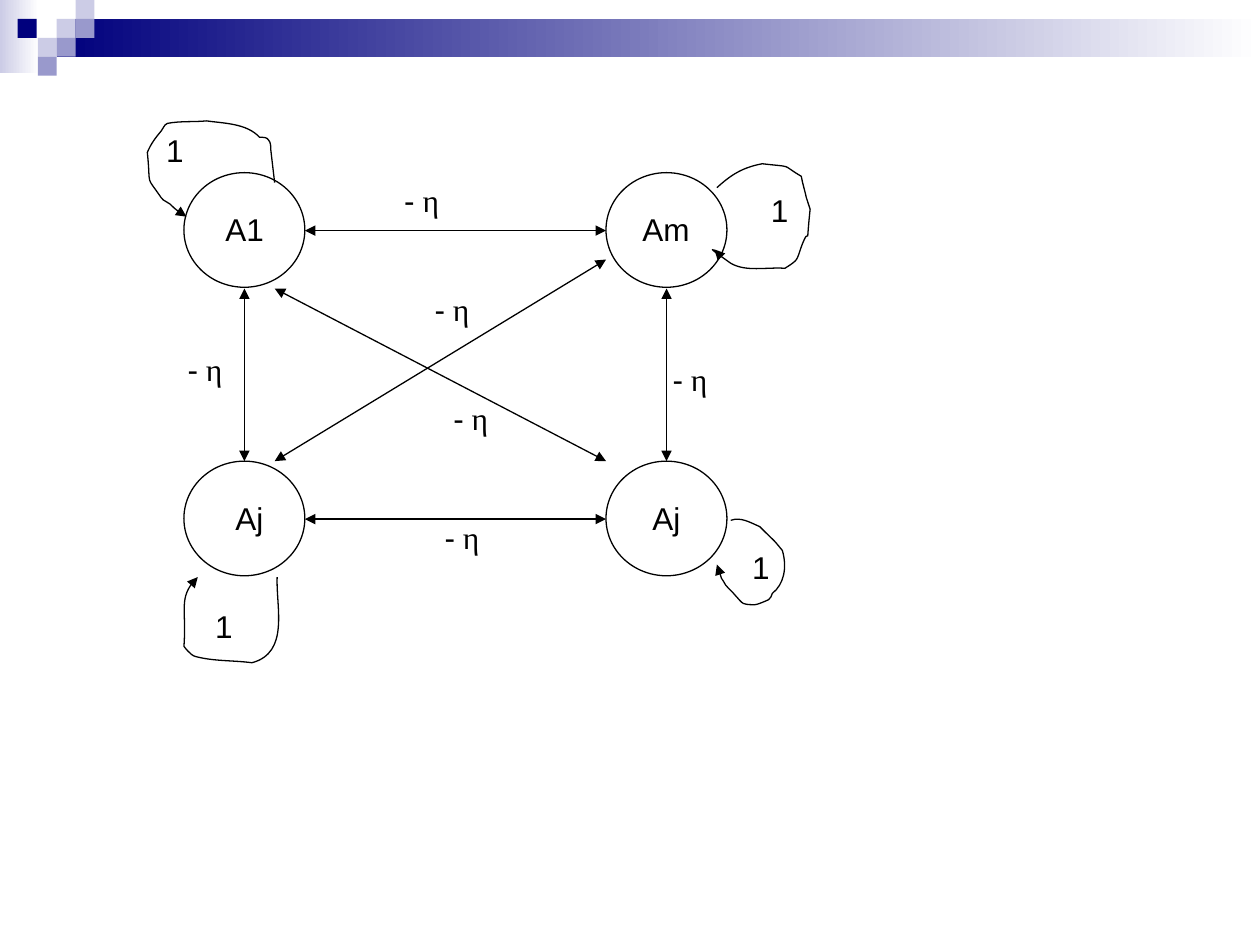
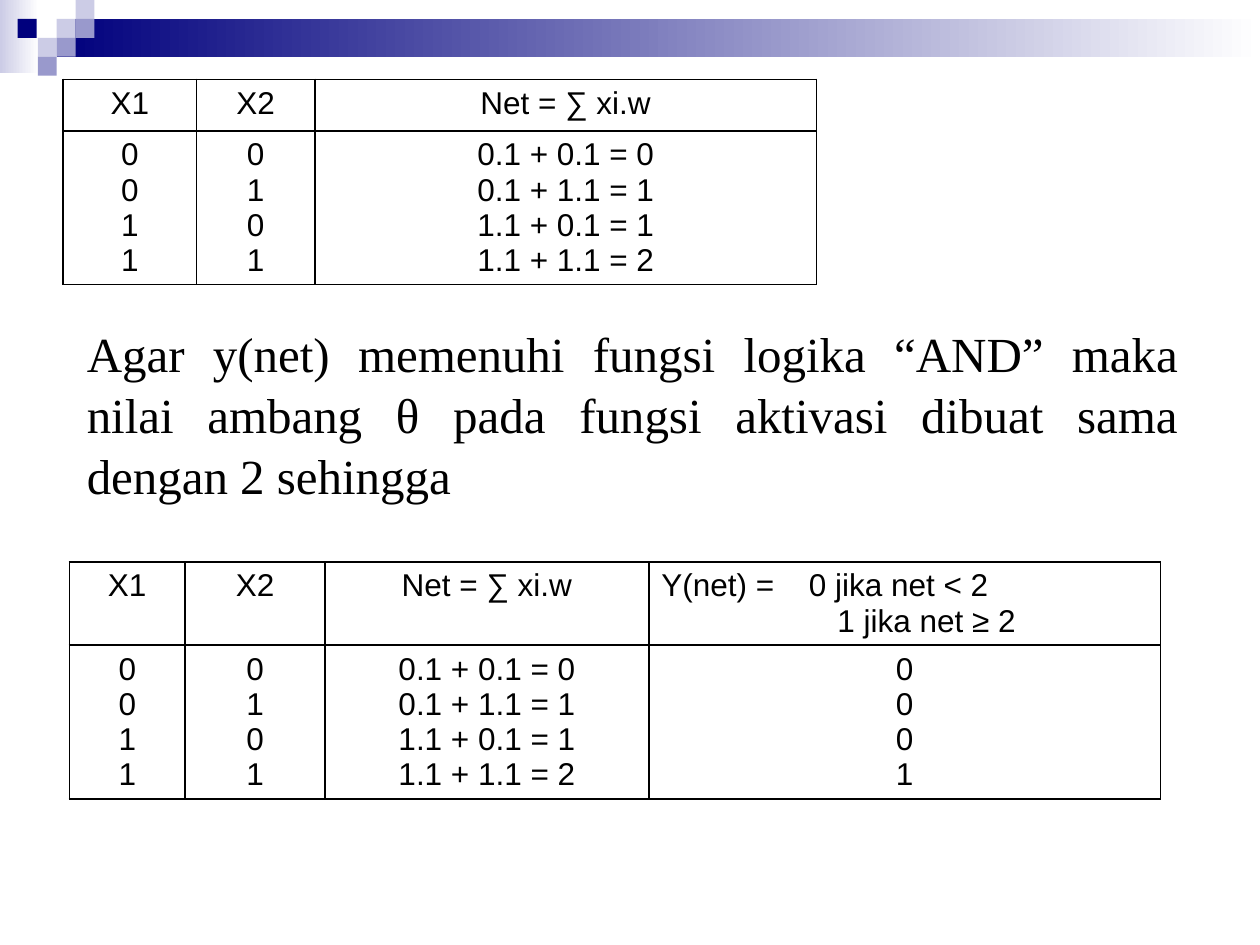
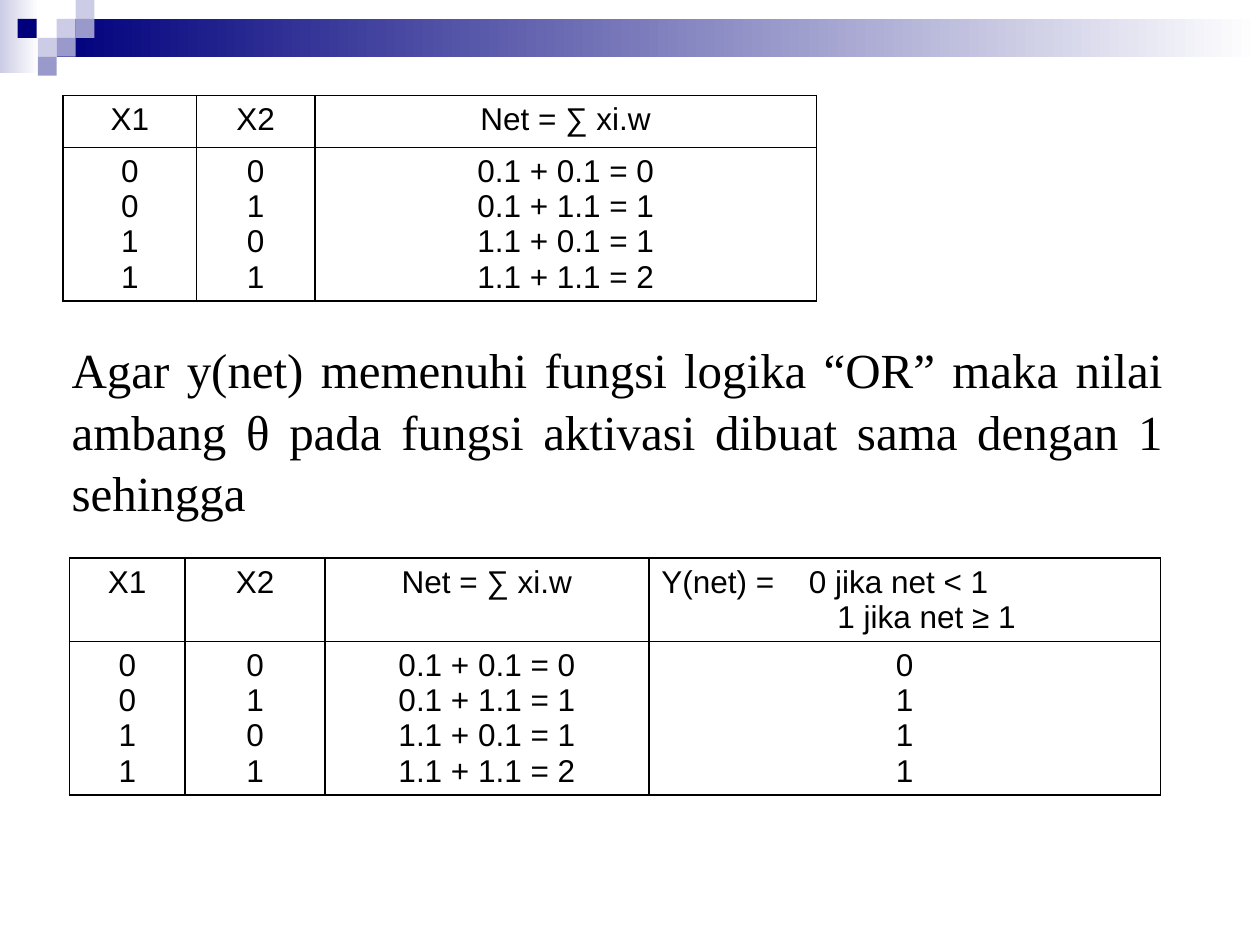
import dataclasses
import itertools
from typing import Any

import lxml.etree
import pptx
import pptx.dml.color
import pptx.enum.shapes
import pptx.enum.text
import pptx.oxml.ns
import pptx.slide
import pptx.util

PX = 9144
SHAPE = pptx.enum.shapes.MSO_SHAPE
ALIGN = pptx.enum.text.PP_ALIGN
ANCHOR = pptx.enum.text.MSO_ANCHOR
qn = pptx.oxml.ns.qn


@dataclasses.dataclass(frozen=True)
class Theme:
    navy: str = "00007D"
    mid: str = "9999CC"
    pale: str = "CCCCE6"
    white: str = "FFFFFF"
    ink: str = "000000"
    sans: str = "Arial"
    serif: str = "Times New Roman"
    label: int = 18
    body: int = 28
    line: float = 0.75
    border: int = 1


@dataclasses.dataclass(frozen=True)
class Box:
    x: int
    y: int
    w: int
    h: int

    def emu(self) -> tuple[int, ...]:
        return tuple(v * PX for v in dataclasses.astuple(self))


@dataclasses.dataclass(frozen=True)
class Band:
    box: Box
    start: str


@dataclasses.dataclass(frozen=True)
class Label:
    text: str
    x: int
    y: int
    w: int = 55


@dataclasses.dataclass(frozen=True)
class Line:
    text: str
    align: Any = ALIGN.CENTER
    indent: int = 0
    tab: int = 0


@dataclasses.dataclass(frozen=True)
class Cell:
    lines: list[Line]
    anchor: Any = ANCHOR.TOP


@dataclasses.dataclass(frozen=True)
class Gate:
    name: str
    threshold: int
    net_top: int
    text_x: int
    text_y: int
    result_top: int


T = Theme()
SQUARE = 15
BANDS = [Band(Box(0, 0, 31, 58), T.pale), Band(Box(45, 15, 955, 30), T.navy)]
SQUARES = [
    (45, 15, T.pale), (60, 0, T.pale), (60, 15, T.mid), (30, 30, T.pale),
    (14, 15, T.navy), (45, 30, T.mid), (30, 45, T.mid),
]
NODE_W, NODE_H = 96, 91
NODES = list(itertools.product((146, 481), (137, 366)))
EDGES = [
    (481, 183, 242, 183), (529, 229, 529, 366), (242, 412, 481, 412),
    (194, 366, 194, 229), (218, 229, 481, 366), (218, 366, 481, 206),
]
LOOPS = [
    [(218, 145), (217, 136), (216, 128), (215, 119), (215, 116), (215, 113), (213, 111),
     (212, 109), (209, 109), (206, 109), (196, 98), (178, 98), (164, 96),
     (154, 97), (143, 96), (133, 98), (130, 99), (130, 102), (128, 104),
     (123, 110), (120, 114), (117, 121), (120, 150), (115, 138), (128, 157),
     (130, 160), (133, 160), (135, 162), (137, 164), (139, 166), (142, 168),
     (144, 170), (148, 172), (148, 172)],
    [(569, 149), (580, 139), (589, 133), (605, 130), (631, 133), (619, 130), (636, 140),
     (637, 146), (639, 152), (640, 157), (641, 160), (643, 166), (643, 166),
     (639, 205), (644, 174), (636, 196), (632, 207), (634, 206), (623, 213),
     (608, 212), (592, 216), (580, 209), (556, 192), (581, 205), (567, 198)],
    [(580, 413), (588, 410), (596, 415), (603, 418), (618, 433), (612, 426), (621, 437),
     (625, 451), (622, 464), (613, 471), (612, 473), (612, 475), (610, 476),
     (608, 477), (601, 480), (599, 480), (596, 480), (593, 480), (590, 479),
     (588, 478), (586, 475), (584, 473), (581, 469), (576, 466), (574, 461),
     (573, 460), (572, 458), (572, 457), (571, 454), (569, 448), (569, 448)],
    [(220, 458), (219, 482), (230, 518), (200, 526), (185, 524), (170, 525), (155, 521),
     (151, 520), (146, 513), (146, 513), (148, 486), (141, 473), (157, 458)],
]
NAMES = [Label("A1", 169, 162), Label("Am", 500, 162, 71), Label("Aj", 508, 391), Label("Aj", 177, 391)]
SELF_WEIGHTS = [Label("1", x, y) for x, y in ((122, 99), (602, 147), (587, 430), (161, 477))]
WEIGHTS = [(139, 273), (311, 139), (335, 225), (350, 312), (343, 406), (524, 281)]
GATES = [Gate("AND", 2, 63, 47, 250, 446), Gate("OR", 1, 76, 35, 263, 443)]


def rgb(color: str) -> pptx.dml.color.RGBColor:
    return pptx.dml.color.RGBColor.from_string(color)


def put(obj: Any, values: dict[str, Any]) -> None:
    for name, value in values.items():
        setattr(obj, name, value)


def add_run(p: Any, text: str, size: int = T.label, font: str = T.sans) -> None:
    r = p.add_run()
    r.text = text
    put(r.font, {"size": pptx.util.Pt(size), "name": font})
    r.font.color.rgb = rgb(T.ink)


def style_line(line: Any) -> None:
    line.width = pptx.util.Pt(T.line)
    line.color.rgb = rgb(T.ink)


def add_arrowheads(line: Any, ends: tuple[str, ...]) -> None:
    ln = line._get_or_add_ln()
    for end in ends:
        lxml.etree.SubElement(ln, qn(f"a:{end}"), type="triangle")


def add_shape(slide: pptx.slide.Slide, kind: Any, box: Box, fill: str) -> Any:
    sp = slide.shapes.add_shape(kind, *box.emu())
    sp.shadow.inherit = False
    sp.line.fill.background()
    sp.fill.solid()
    sp.fill.fore_color.rgb = rgb(fill)
    return sp


def add_band(slide: pptx.slide.Slide, band: Band) -> None:
    sp = add_shape(slide, SHAPE.RECTANGLE, band.box, band.start)
    sp.fill.gradient()
    sp.fill.gradient_angle = 0
    for stop, position, color in zip(sp.fill.gradient_stops, (0, 1), (band.start, T.white)):
        stop.position = position
        stop.color.rgb = rgb(color)


def new_slide(prs: Any) -> pptx.slide.Slide:
    slide = prs.slides.add_slide(prs.slide_layouts[6])
    for band in BANDS:
        add_band(slide, band)
    for x, y, color in SQUARES:
        add_shape(slide, SHAPE.RECTANGLE, Box(x, y, SQUARE, SQUARE), color)
    return slide


def add_edge(slide: pptx.slide.Slide, ends: tuple[int, ...]) -> None:
    line = slide.shapes.add_connector(
        pptx.enum.shapes.MSO_CONNECTOR.STRAIGHT, *(v * PX for v in ends))
    style_line(line.line)
    add_arrowheads(line.line, ("headEnd", "tailEnd"))
    lxml.etree.SubElement(line._element.spPr, qn("a:effectLst"))


def add_loop(slide: pptx.slide.Slide, points: list[tuple[int, int]]) -> None:
    builder = slide.shapes.build_freeform(*points[0], scale=PX)
    builder.add_line_segments(points[1:], close=False)
    sp = builder.convert_to_shape()
    steps = list(sp._element.iter(qn("a:lnTo")))
    for curve, *rest in zip(steps[::3], steps[1::3], steps[2::3]):
        curve.tag = qn("a:cubicBezTo")
        for step in rest:
            curve.append(step[0])
            step.getparent().remove(step)
    sp.shadow.inherit = False
    sp.fill.background()
    style_line(sp.line)
    add_arrowheads(sp.line, ("tailEnd",))


def add_text(slide: pptx.slide.Slide, box: Box) -> Any:
    tf = slide.shapes.add_textbox(*box.emu()).text_frame
    tf.word_wrap = True
    return tf.paragraphs[0]


def fill_cell(cell: Any, content: Cell) -> None:
    tc_pr = cell._tc.get_or_add_tcPr()
    for side in "LRTB":
        ln = lxml.etree.SubElement(tc_pr, qn(f"a:ln{side}"), w=str(pptx.util.Pt(T.border)))
        fill = lxml.etree.SubElement(ln, qn("a:solidFill"))
        lxml.etree.SubElement(fill, qn("a:srgbClr"), val=T.ink)
    cell.fill.background()
    cell.vertical_anchor = content.anchor
    tf = cell.text_frame
    for i, line in enumerate(content.lines):
        p = tf.add_paragraph() if i else tf.paragraphs[0]
        p.alignment = line.align
        p_pr = p._p.get_or_add_pPr()
        if line.indent:
            p_pr.set("marL", str(line.indent * PX))
        if line.tab:
            tabs = lxml.etree.SubElement(p_pr, qn("a:tabLst"))
            lxml.etree.SubElement(tabs, qn("a:tab"), pos=str(line.tab * PX), algn="l")
        add_run(p, line.text)


def add_table(slide: pptx.slide.Slide, x: int, y: int, widths: list[int],
              heights: list[int], rows: list[list[Cell]]) -> None:
    box = Box(x, y, sum(widths), sum(heights))
    table = slide.shapes.add_table(len(heights), len(widths), *box.emu()).table
    put(table, {"first_row": False, "horz_banding": False})
    for column, width in zip(table.columns, widths):
        column.width = width * PX
    for row, height, contents in zip(table.rows, heights, rows):
        row.height = height * PX
        for cell, content in zip(row.cells, contents):
            fill_cell(cell, content)


def column(values: list[Any]) -> Cell:
    return Cell([Line(str(value)) for value in values])


def network_slide(prs: Any) -> None:
    slide = new_slide(prs)
    for x, y in NODES:
        style_line(add_shape(slide, SHAPE.OVAL, Box(x, y, NODE_W, NODE_H), T.white).line)
    for ends in EDGES:
        add_edge(slide, ends)
    for points in LOOPS:
        add_loop(slide, points)
    for label in NAMES + SELF_WEIGHTS:
        add_run(add_text(slide, Box(label.x, label.y, label.w, 39)), label.text)
    for x, y in WEIGHTS:
        p = add_text(slide, Box(x, y, 55, 39))
        add_run(p, "-")
        add_run(p, " η", font=T.serif)


def gate_slide(prs: Any, gate: Gate) -> None:
    slide = new_slide(prs)
    pairs = list(itertools.product((0, 1), repeat=2))
    head = [column([text]) for text in ("X1", "X2", "Net = ∑ xi.w")]
    body = [
        column([a for a, b in pairs]),
        column([b for a, b in pairs]),
        column([f"{a}.1 + {b}.1 = {a + b}" for a, b in pairs]),
    ]
    rule = Cell([
        Line(f"Y(net) =\t0 jika net < {gate.threshold}", ALIGN.LEFT, tab=117),
        Line(f"1 jika net ≥ {gate.threshold}", indent=35),
    ], ANCHOR.MIDDLE)
    output = column([int(a + b >= gate.threshold) for a, b in pairs])
    add_table(slide, 50, gate.net_top, [106, 94, 398], [41, 122], [head, body])
    add_table(slide, 55, gate.result_top, [92, 111, 257, 406], [65, 122],
              [head + [rule], body + [output]])
    p = add_text(slide, Box(gate.text_x, gate.text_y, 898, 151))
    put(p, {"alignment": ALIGN.JUSTIFY, "line_spacing": 1.04})
    p._p.get_or_add_pPr().set("marL", str(12 * PX))
    add_run(p, f"Agar y(net) memenuhi fungsi logika “{gate.name}” maka nilai ambang θ pada "
               f"fungsi aktivasi dibuat sama dengan {gate.threshold} sehingga", T.body, T.serif)


def main() -> None:
    prs = pptx.Presentation()
    put(prs, {"slide_width": 1000 * PX, "slide_height": 750 * PX})
    network_slide(prs)
    for gate in GATES:
        gate_slide(prs, gate)
    prs.save("out.pptx")


if __name__ == "__main__":
    main()
